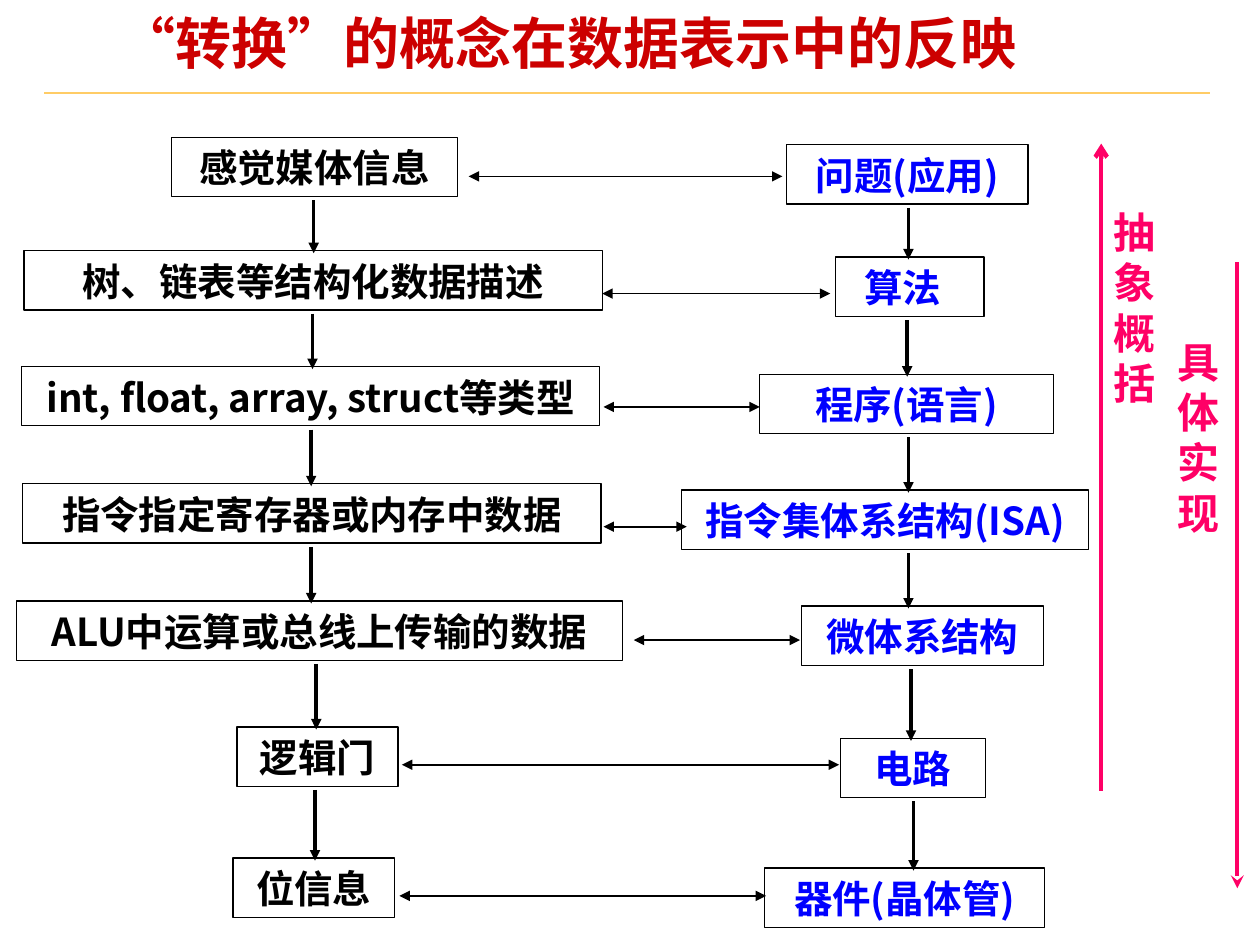
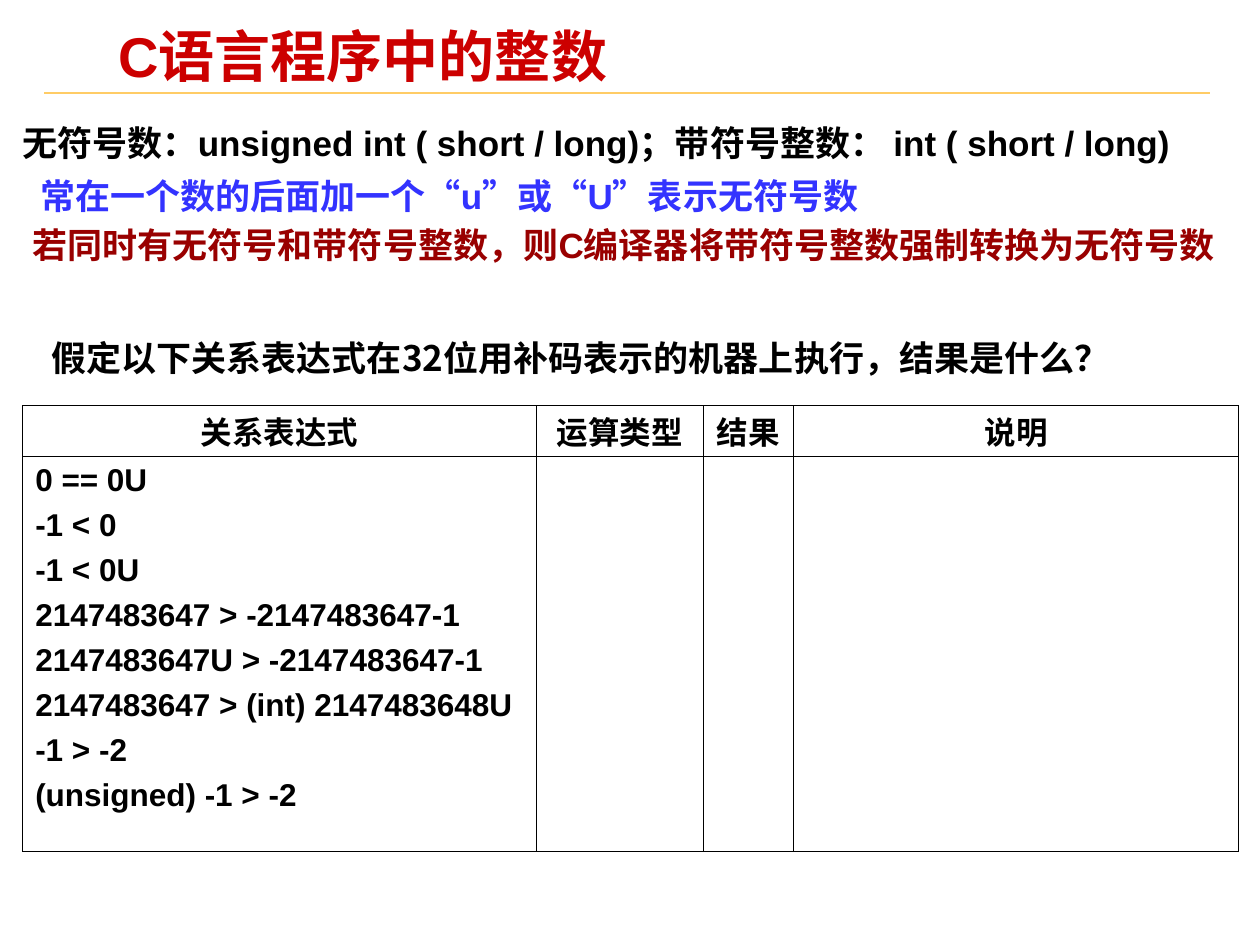
from lxml import etree
from pptx import Presentation
from pptx.dml.color import RGBColor
from pptx.enum import shapes, text
from pptx.oxml import ns
from pptx.util import Inches, Pt

CJK, ARIAL, TIMES = "Noto Sans CJK SC", "Arial", "Times New Roman"
BLACK, BLUE, PINK, RED = "000000", "0000FF", "FF0066", "CC0000"
LEFT, CENTER = text.PP_ALIGN.LEFT, text.PP_ALIGN.CENTER
BOX_HEIGHT = 0.47

# label, left, top, width, x of the arrow leading down
DATA_LEVELS = [
    ("感觉媒体信息", 1.36, 1.09, 2.27, 2.49),
    ("树、链表等结构化数据描述", 0.19, 1.99, 4.59, 2.48),
    ("int, float, array, struct等类型", 0.17, 2.91, 4.59, 2.47),
    ("指令指定寄存器或内存中数据", 0.18, 3.84, 4.59, 2.47),
    ("ALU中运算或总线上传输的数据", 0.13, 4.77, 4.81, 2.51),
    ("逻辑门", 1.88, 5.77, 1.28, 2.5),
    ("位信息", 1.85, 6.81, 1.28, None),
]
SYSTEM_LEVELS = [
    ("问题(应用)", 6.24, 1.15, 1.92, 7.21),
    ("算法", 6.63, 2.04, 1.18, 7.2),
    ("程序(语言)", 6.03, 2.97, 2.33, 7.21),
    ("指令集体系结构(ISA)", 5.41, 3.89, 3.23, 7.21),
    ("微体系结构", 6.36, 4.81, 1.92, 7.23),
    ("电路", 6.67, 5.86, 1.15, 7.25),
    ("器件(晶体管)", 6.07, 6.89, 2.22, None),
]
# left end, right end, y
LEVEL_LINKS = [
    (3.72, 6.21, 1.4), (4.78, 6.59, 2.33), (4.79, 6.03, 3.23), (4.79, 5.45, 4.18),
    (5.03, 6.35, 5.08), (3.19, 6.66, 6.07), (3.17, 6.08, 7.11),
]
# text, left, top, width, font, colour, line height in points
STATEMENTS = [
    ("无符号数：unsigned int ( short / long)；带符号整数： int ( short / long)",
     0.08, 0.85, 9.8, ARIAL, BLACK, 28.8),
    ("常在一个数的后面加一个“u”或“U”表示无符号数", 0.22, 1.27, 7.43, ARIAL, "3333FF", 28.8),
    ("若同时有无符号和带符号整数，则C编译器将带符号整数强制转换为无符号数",
     0.16, 1.66, 9.8, ARIAL, "990000", 28.8),
    ("假定以下关系表达式在32位用补码表示的机器上执行，结果是什么？",
     0.31, 2.62, 8.93, CJK, BLACK, 24),
]
TABLE_COLUMNS = [("关系表达式", 4.08), ("运算类型", 1.32), ("结果", 0.72), ("说明", 3.53)]
EXPRESSIONS = [
    "0 == 0U", "-1 < 0", "-1 < 0U", "2147483647 > -2147483647-1",
    "2147483647U > -2147483647-1", "2147483647 > (int) 2147483648U",
    "-1 > -2", "(unsigned) -1 > -2",
]


def color(value):
    return RGBColor.from_string(value)


def set_all(target, values):
    for name, value in values.items():
        setattr(target, name, value)


def set_insets(target, left, top, right, bottom):
    set_all(target, {"margin_left": Inches(left), "margin_top": Inches(top),
                     "margin_right": Inches(right), "margin_bottom": Inches(bottom)})


def write(paragraph, words, size, font, hex_color, **layout):
    """Fill a paragraph with one bold run; layout holds paragraph settings."""
    set_all(paragraph, layout)
    run = paragraph.add_run()
    run.text = words
    set_all(run.font, {"size": Pt(size), "name": font, "bold": True})
    run.font.color.rgb = color(hex_color)
    east_asian = etree.SubElement(run.font._element, ns.qn("a:ea"))
    east_asian.set("typeface", CJK)


def add_text(slide, box, words, size, font, hex_color, insets, **layout):
    frame = slide.shapes.add_textbox(*map(Inches, box)).text_frame
    frame.word_wrap = True
    set_insets(frame, *insets)
    write(frame.paragraphs[0], words, size, font, hex_color, **layout)


def add_line(slide, start, end, hex_color, width, head=None, tail=None):
    line = slide.shapes.add_connector(shapes.MSO_CONNECTOR.STRAIGHT,
                                      *map(Inches, (*start, *end)))
    line.line.color.rgb = color(hex_color)
    line.line.width = Pt(width)
    outline = line.line._get_or_add_ln()
    for tag, arrow in (("a:headEnd", head), ("a:tailEnd", tail)):
        if arrow:
            etree.SubElement(outline, ns.qn(tag)).set("type", arrow)
    etree.SubElement(line._element.spPr, ns.qn("a:effectLst"))


def add_titled_slide(presentation, title, left, top, width):
    slide = presentation.slides.add_slide(presentation.slide_layouts[6])
    add_line(slide, (0.35, 0.74), (9.6, 0.74), "FFCC66", 1)
    add_text(slide, (left, top, width, 0.55), title, 32, ARIAL, RED,
             (0.07, 0.03, 0.07, 0.03), line_spacing=Pt(33.4))
    return slide


def add_level_box(slide, label, left, top, width, hex_color):
    box = slide.shapes.add_shape(shapes.MSO_SHAPE.RECTANGLE,
                                 *map(Inches, (left, top, width, BOX_HEIGHT)))
    box.shadow.inherit = False
    box.fill.background()
    box.line.color.rgb = color(BLACK)
    box.line.width = Pt(0.75)
    frame = box.text_frame
    set_all(frame, {"word_wrap": True, "vertical_anchor": text.MSO_ANCHOR.MIDDLE})
    is_algorithm = label == "算法"
    set_insets(frame, 0.23 if is_algorithm else 0, 0, 0, 0)
    write(frame.paragraphs[0], label, 22, CJK, hex_color, line_spacing=Pt(26.9),
          alignment=LEFT if is_algorithm else CENTER)


def add_level_column(slide, levels, hex_color):
    """Stack the boxes and join each one to the next with an arrow."""
    for label, left, top, width, _ in levels:
        add_level_box(slide, label, left, top, width, hex_color)
    for (_, _, top, _, x), (_, _, next_top, _, _) in zip(levels, levels[1:]):
        add_line(slide, (x, top + BOX_HEIGHT + 0.03), (x, next_top + 0.02),
                 BLACK, 2, tail="triangle")


def add_direction(slide, label, label_left, label_top, x, top, bottom, **arrow):
    """Long vertical arrow with a label set one character to a line."""
    add_line(slide, (x, top), (x, bottom), PINK, 2.5, **arrow)
    add_text(slide, (label_left, label_top, 0.52, 1.7), label, 24, TIMES, PINK,
             (0.1, 0.05, 0.08, 0.05), line_spacing=Pt(28.75))


def build_conversion_slide(presentation):
    slide = add_titled_slide(presentation, "“转换”的概念在数据表示中的反映", 0.88, 0.11, 8.28)
    add_direction(slide, "具体实现", 9.25, 2.62, 9.82, 2.08, 7.05, tail="stealth")
    add_direction(slide, "抽象概括", 8.74, 1.59, 8.74, 1.14, 6.28, head="arrow")
    add_level_column(slide, DATA_LEVELS, BLACK)
    add_level_column(slide, SYSTEM_LEVELS, BLUE)
    for left, right, y in LEVEL_LINKS:
        add_line(slide, (right, y), (left, y), BLACK, 1, head="triangle", tail="triangle")


def add_cell_borders(cell):
    properties = cell._tc.get_or_add_tcPr()
    for index, side in enumerate(("a:lnL", "a:lnR", "a:lnT", "a:lnB")):
        border = etree.Element(ns.qn(side), w=str(Pt(0.45)))
        fill = etree.SubElement(border, ns.qn("a:solidFill"))
        etree.SubElement(fill, ns.qn("a:srgbClr")).set("val", BLACK)
        properties.insert(index, border)


def add_expression_table(slide, left, top):
    row_heights = (0.4, 3.14)
    width = sum(column_width for _, column_width in TABLE_COLUMNS)
    table = slide.shapes.add_table(
        2, len(TABLE_COLUMNS),
        *map(Inches, (left, top, width, sum(row_heights)))).table
    set_all(table, {"first_row": False, "horz_banding": False})
    for row, height in zip(table.rows, row_heights):
        row.height = Inches(height)
    for index, (heading, column_width) in enumerate(TABLE_COLUMNS):
        table.columns[index].width = Inches(column_width)
        header = table.cell(0, index)
        set_insets(header, 0.05, 0.05, 0.05, 0.02)
        header.vertical_anchor = text.MSO_ANCHOR.BOTTOM
        write(header.text_frame.paragraphs[0], heading, 18, ARIAL, BLACK,
              alignment=CENTER, line_spacing=Pt(21.6))
    frame = table.cell(1, 0).text_frame
    for index, expression in enumerate(EXPRESSIONS):
        paragraph = frame.add_paragraph() if index else frame.paragraphs[0]
        write(paragraph, expression, 18, ARIAL, BLACK,
              space_before=Pt(5.6 if index else 0))
    for cell in table.iter_cells():
        cell.fill.background()
        add_cell_borders(cell)


def build_integer_slide(presentation):
    slide = add_titled_slide(presentation, "C语言程序中的整数", 0.87, 0.21, 6.64)
    add_expression_table(slide, 0.18, 3.22)
    for words, left, top, width, font, hex_color, line_height in STATEMENTS:
        add_text(slide, (left, top, width, 0.5), words, 20, font, hex_color,
                 (0.1, 0.05, 0.05, 0.05), line_spacing=Pt(line_height))


def main():
    presentation = Presentation()
    set_all(presentation, {"slide_width": Inches(10), "slide_height": Inches(7.5)})
    build_conversion_slide(presentation)
    build_integer_slide(presentation)
    presentation.save("out.pptx")


if __name__ == "__main__":
    main()
